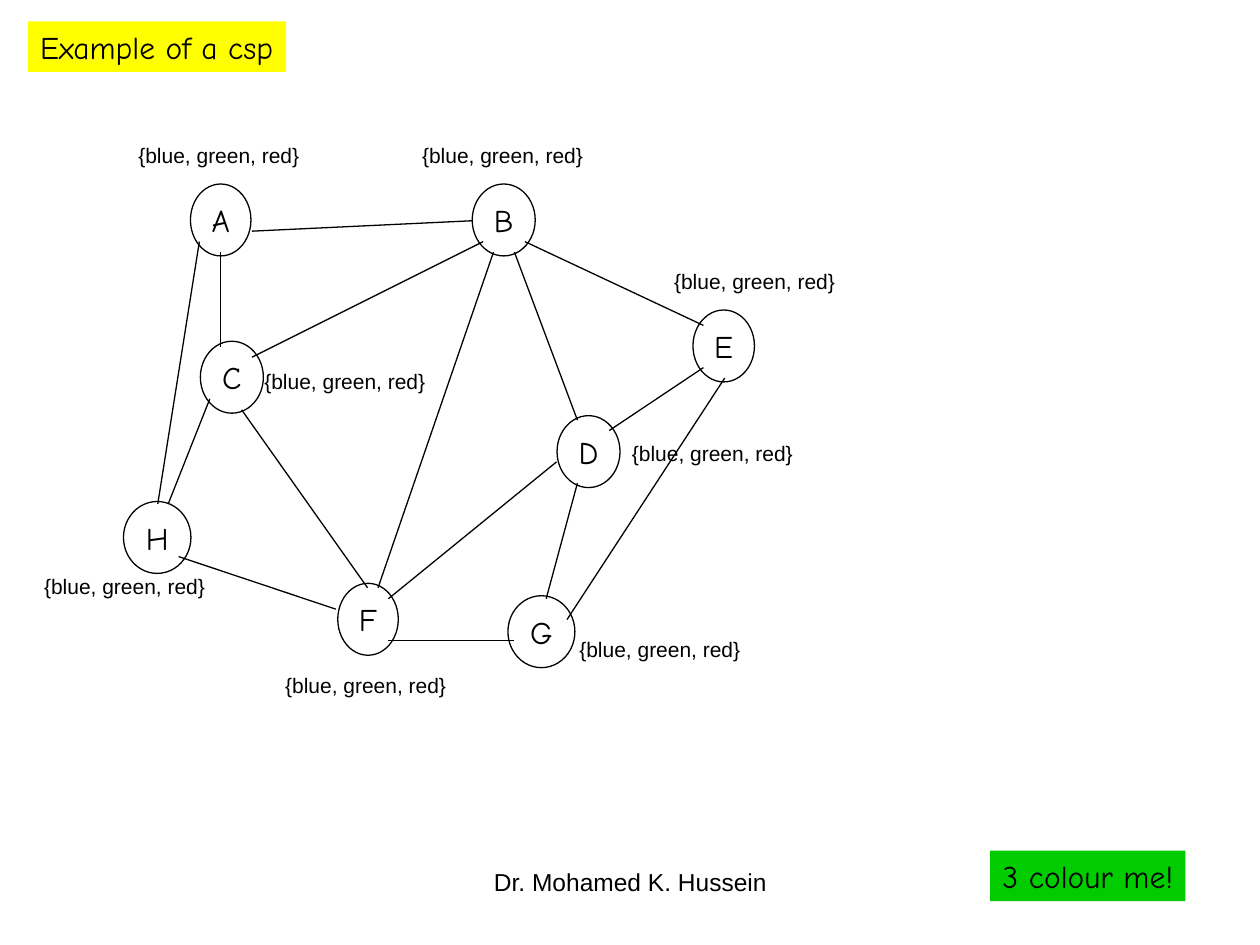
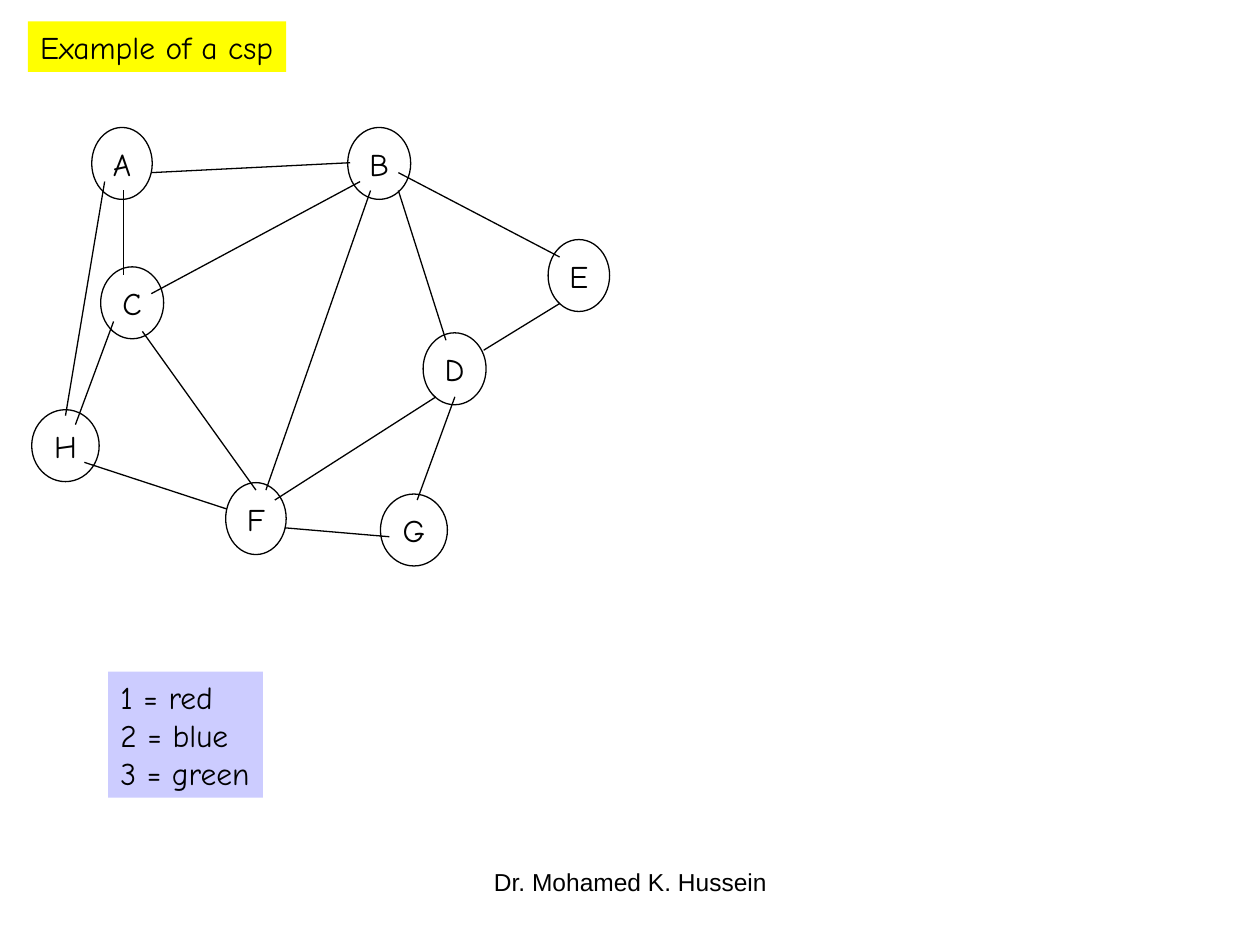
import lxml.etree
import pptx
import pptx.dml.color
import pptx.enum.shapes
import pptx.enum.text
import pptx.oxml.ns
import pptx.util

Cm = pptx.util.Cm
Pt = pptx.util.Pt
ALIGN = pptx.enum.text.PP_ALIGN
ANCHOR = pptx.enum.text.MSO_ANCHOR
SHAPE = pptx.enum.shapes.MSO_SHAPE

COLOURS = {
    "ink": "000000",
    "title": "FFFF00",
    "task": "00CC00",
    "legend": "CCCCFF",
}
HAND_FONT = "Comic Neue"
PLAIN_FONT = "Arial"
TITLE = "Example of a csp"
AUTHOR = "Dr. Mohamed K. Hussein"
DOMAIN = "{blue, green, red}"

NODE_HEIGHT = 1.45
NODE_WIDTHS = {
    "A": 1.22, "B": 1.27, "C": 1.27, "D": 1.27,
    "E": 1.24, "F": 1.22, "G": 1.35, "H": 1.36,
}

DOMAIN_NODES = {
    "A": (3.84, 3.71), "B": (9.52, 3.71), "C": (4.04, 6.88), "D": (11.23, 8.38),
    "E": (13.97, 6.25), "F": (6.81, 11.76), "G": (10.24, 12.01), "H": (2.49, 10.11),
}
DOMAIN_EDGES = [
    (4.45, 5.08, 4.45, 6.99),
    (5.08, 7.2, 9.74, 4.87),
    (7.41, 11.85, 4.87, 8.26),
    (7.83, 12.07, 11.22, 9.31),
    (5.08, 4.66, 9.52, 4.45),
    (7.62, 11.85, 9.95, 5.08),
    (10.37, 5.08, 11.64, 8.47),
    (10.58, 4.87, 14.18, 6.56),
    (12.28, 8.68, 14.18, 7.41),
    (7.83, 12.91, 10.37, 12.91),
    (11.64, 9.74, 11.01, 12.07),
    (4.23, 8.04, 3.39, 10.16),
    (3.6, 11.22, 6.77, 12.28),
    (4.02, 4.87, 3.18, 10.16),
    (14.61, 7.62, 11.43, 12.49),
]
DOMAIN_LABELS = [
    (2.54, 2.75), (8.26, 2.75), (13.34, 5.29), (11.43, 12.7),
    (12.49, 8.76), (5.08, 7.3), (5.5, 13.42), (0.64, 11.43),
]

COLOURING_NODES = {
    "A": (1.85, 2.57), "B": (7.01, 2.57), "C": (2.03, 5.38), "D": (8.53, 6.71),
    "E": (11.05, 4.83), "F": (4.55, 9.73), "G": (7.67, 9.96), "H": (0.64, 8.26),
}
COLOURING_EDGES = [
    (2.49, 3.84, 2.49, 5.54),
    (3.05, 5.92, 7.26, 3.66),
    (5.16, 9.88, 2.87, 6.68),
    (5.54, 10.08, 8.79, 8),
    (3.05, 3.48, 7.06, 3.28),
    (5.36, 9.88, 7.47, 3.84),
    (8.03, 3.84, 8.99, 6.86),
    (8.03, 3.48, 11.28, 5.18),
    (9.75, 7.06, 11.28, 6.12),
    (5.74, 10.64, 7.85, 10.82),
    (9.17, 8, 8.41, 10.08),
    (2.29, 6.48, 1.52, 8.56),
    (1.7, 9.32, 4.57, 10.26),
    (2.11, 3.66, 1.32, 8.38),
]


def rgb(name):
    return pptx.dml.color.RGBColor.from_string(COLOURS[name])


def box(left, top, width, height):
    return Cm(left), Cm(top), Cm(width), Cm(height)


def write(frame, lines, font, size, align=ALIGN.LEFT, anchor=ANCHOR.TOP, wrap=False):
    frame.auto_size = pptx.enum.text.MSO_AUTO_SIZE.NONE
    frame.word_wrap = wrap
    frame.vertical_anchor = anchor
    frame.margin_left = frame.margin_right = Cm(0.25)
    frame.margin_top = frame.margin_bottom = Cm(0.13)
    for index, line in enumerate(lines):
        paragraph = frame.add_paragraph() if index else frame.paragraphs[0]
        paragraph.alignment = align
        run = paragraph.add_run()
        run.text = line
        run.font.name = font
        run.font.size = Pt(size)
        run.font.color.rgb = rgb("ink")


def add_title(slide):
    title = slide.shapes.title
    title.left, title.top, title.width, title.height = box(0.56, 0.43, 5.21, 1.02)
    title.fill.solid()
    title.fill.fore_color.rgb = rgb("title")
    write(title.text_frame, [TITLE], HAND_FONT, 18)


def add_panel(slide, place, lines, colour):
    panel = slide.shapes.add_shape(SHAPE.RECTANGLE, *box(*place))
    panel.shadow.inherit = False
    panel.fill.solid()
    panel.fill.fore_color.rgb = rgb(colour)
    panel.line.fill.background()
    write(panel.text_frame, lines, HAND_FONT, 18)


def add_label(slide, place, text, size, align=ALIGN.LEFT):
    label = slide.shapes.add_textbox(*box(*place))
    write(label.text_frame, [text], PLAIN_FONT, size, align, wrap=True)


def add_node(slide, letter, left, top):
    node = slide.shapes.add_shape(
        SHAPE.OVAL, *box(left, top, NODE_WIDTHS[letter], NODE_HEIGHT))
    node.shadow.inherit = False
    node.fill.background()
    node.line.color.rgb = rgb("ink")
    node.line.width = Pt(0.75)
    write(node.text_frame, [letter], HAND_FONT, 18, ALIGN.CENTER, ANCHOR.MIDDLE)


def add_edge(slide, ends):
    edge = slide.shapes.add_connector(
        pptx.enum.shapes.MSO_CONNECTOR.STRAIGHT, *map(Cm, ends))
    edge.line.color.rgb = rgb("ink")
    edge.line.width = Pt(0.75)
    lxml.etree.SubElement(edge._element.spPr, pptx.oxml.ns.qn("a:effectLst"))


def add_graph_slide(deck, nodes, edges):
    slide = deck.slides.add_slide(deck.slide_layouts[5])
    add_title(slide)
    for letter, (left, top) in nodes.items():
        add_node(slide, letter, left, top)
    for ends in edges:
        add_edge(slide, ends)
    add_label(slide, (8.69, 17.35, 8.04, 1.32), AUTHOR, 14, ALIGN.CENTER)
    return slide


def main():
    deck = pptx.Presentation()
    deck.slide_width, deck.slide_height = Cm(25.4), Cm(19.05)

    domains = add_graph_slide(deck, DOMAIN_NODES, DOMAIN_EDGES)
    for left, top in DOMAIN_LABELS:
        add_label(domains, (left, top, 3.81, 0.76), DOMAIN, 12)
    add_panel(domains, (19.96, 17.15, 3.94, 1.02), ["3 colour me!"], "task")

    colouring = add_graph_slide(deck, COLOURING_NODES, COLOURING_EDGES)
    legend = ["1 = red", "2 = blue", "3 = green"]
    add_panel(colouring, (2.18, 13.54, 3.12, 2.54), legend, "legend")

    deck.save("out.pptx")


if __name__ == "__main__":
    main()
